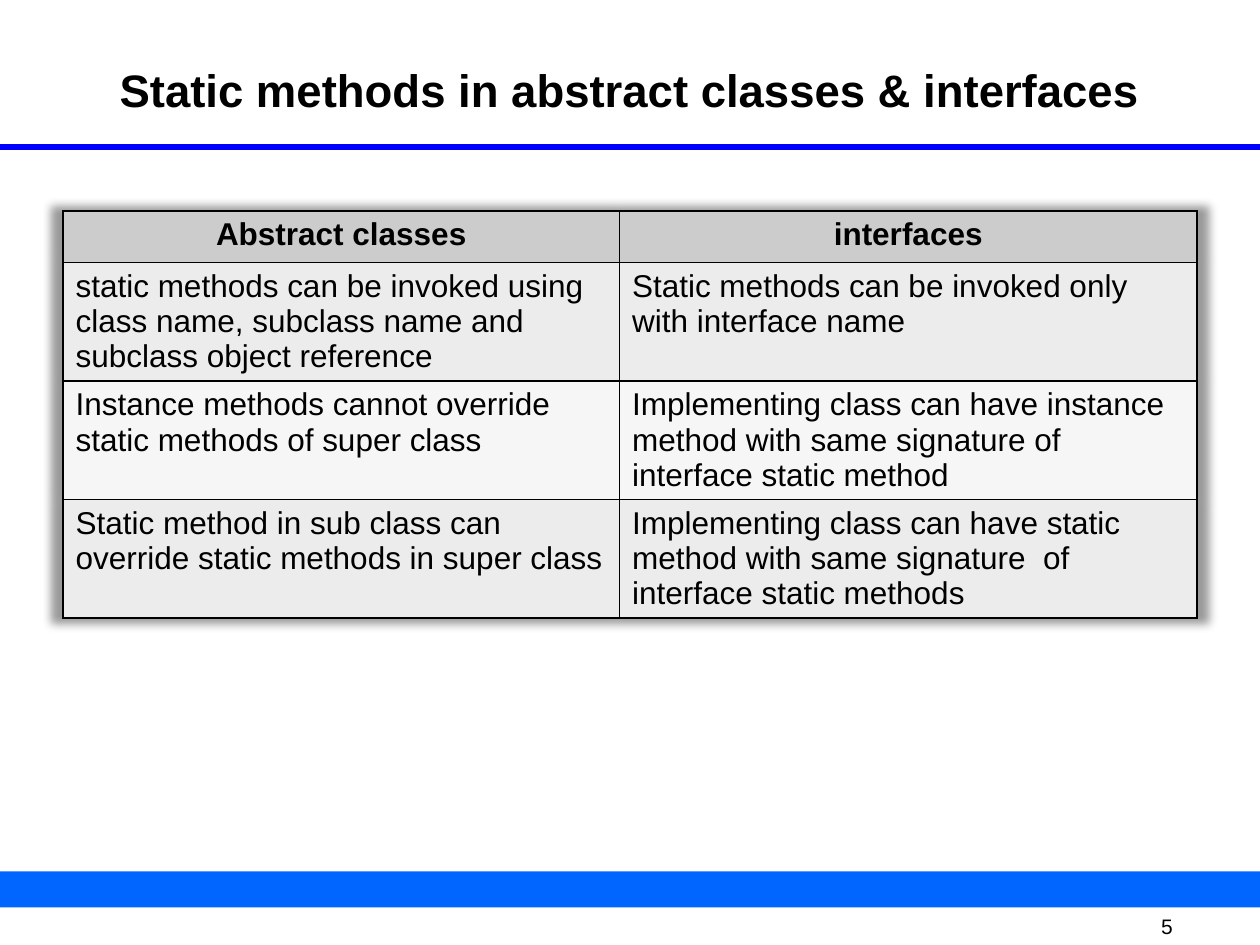
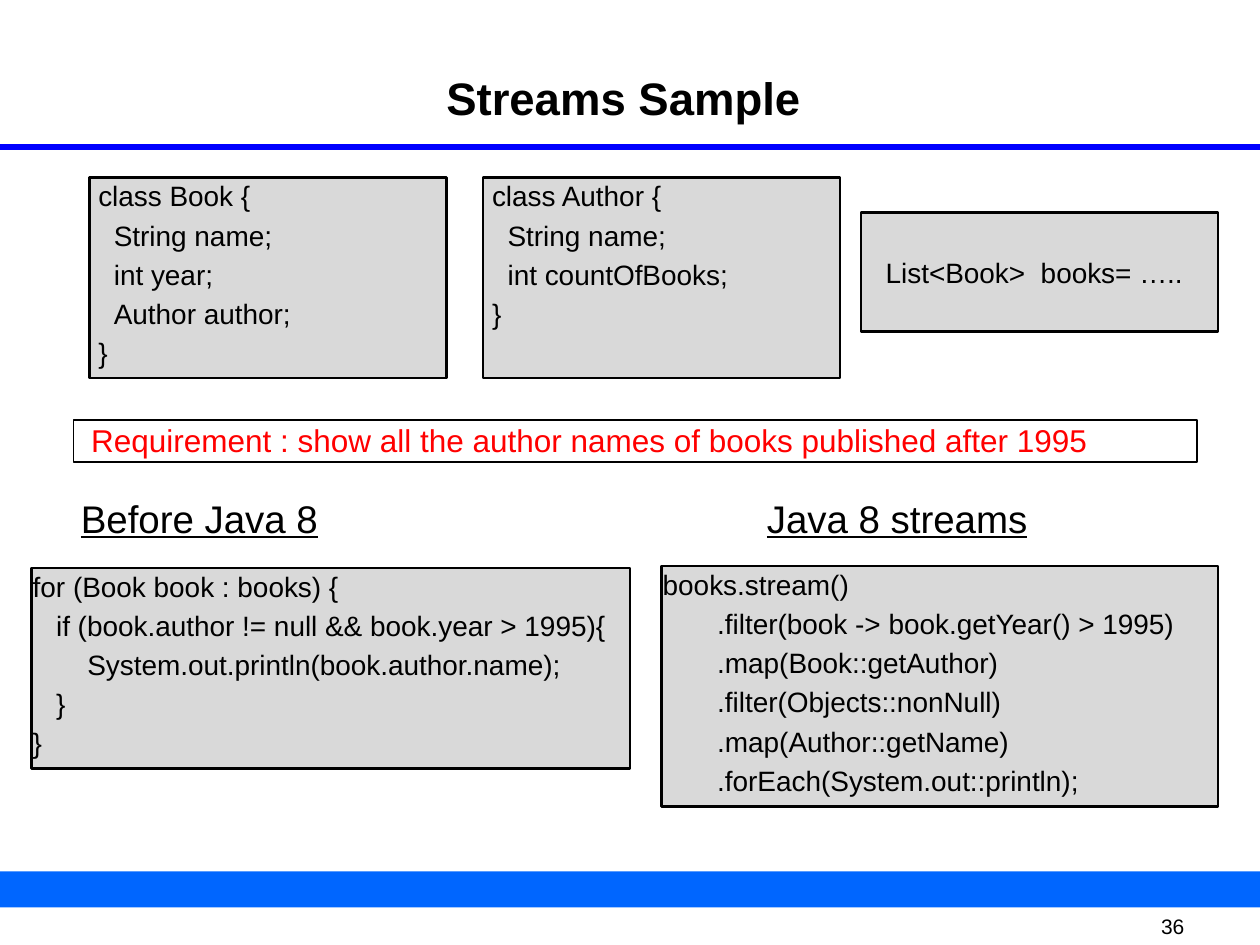
from lxml import etree
from pptx import Presentation
from pptx.dml.color import RGBColor
from pptx.enum.shapes import MSO_CONNECTOR, MSO_SHAPE
from pptx.enum.text import MSO_ANCHOR, MSO_AUTO_SIZE, PP_ALIGN
from pptx.oxml import parse_xml
from pptx.oxml.ns import nsdecls, qn
from pptx.util import Pt

LEFT, CENTER = PP_ALIGN.LEFT, PP_ALIGN.CENTER
TOP, MIDDLE = MSO_ANCHOR.TOP, MSO_ANCHOR.MIDDLE
NO_AUTOFIT = MSO_AUTO_SIZE.NONE
RECTANGLE, STRAIGHT = MSO_SHAPE.RECTANGLE, MSO_CONNECTOR.STRAIGHT

FONT = "Arial"
COLORS = {
    "text": "000000", "border": "000000", "requirement": "FF0000",
    "rule": "0000FF", "band": "0066FF", "code": "D9D9D9",
    "header": "CCCCCC", "odd_row": "ECECEC", "even_row": "F6F6F6",
}
SLIDE_WIDTH, SLIDE_HEIGHT = 720, 540
TITLE_ONLY, TITLE_AND_CONTENT = 5, 1
SPACE_WIDTH = 4.45
TEXT_MARGINS = (0.72, 0.72, 0.72, 0.72)

COMPARISON_ROWS = [
    ("Abstract classes", "interfaces"),
    ("static methods can be invoked using class name, subclass name and subclass object reference",
     "Static methods can be invoked only with interface name"),
    ("Instance methods cannot override static methods of super class",
     "Implementing class can have instance method with same signature of interface static method"),
    ("Static method in sub class can override static methods in super class",
     "Implementing class can have static method with same signature  of interface static methods"),
]
CODE_BLOCKS = [
    ((276, 101.5, 204, 114.5), TOP, [
        (1, "class Author {"), (3, "String name;"), (3, "int countOfBooks;"), (1, "}")]),
    ((51, 101.5, 204, 114.5), TOP, [
        (1, "class Book {"), (3, "String name;"), (3, "int year;"),
        (3, "Author author;"), (1, "}")]),
    ((492, 121.5, 204, 68), MIDDLE, [(3, "List<Book>  books= …..")]),
    ((18, 324.5, 342, 114.5), TOP, [
        (0, "for (Book book : books) {"),
        (3, "if (book.author != null && book.year > 1995){"),
        (7, "System.out.println(book.author.name);"), (3, "}"), (0, "}")]),
    ((378, 323.5, 318, 137.5), TOP, [
        (0, "books.stream()"), (7, ".filter(book -> book.getYear() > 1995)"),
        (7, ".map(Book::getAuthor)"), (7, ".filter(Objects::nonNull)"),
        (7, ".map(Author::getName)"), (7, ".forEach(System.out::println);")]),
]


def color(name):
    """Return the palette colour with this name."""
    return RGBColor.from_string(COLORS[name])


def points(box):
    """Convert a tuple of numbers to lengths in points."""
    return [Pt(value) for value in box]


def write_text(frame, lines, size=18, text_color="text", bold=False, underline=False,
               align=LEFT, anchor=TOP, margins=TEXT_MARGINS, gap=0):
    """Fill a text frame with (indent, text) lines in one format."""
    frame.word_wrap = True
    frame.auto_size = NO_AUTOFIT
    frame.vertical_anchor = anchor
    (frame.margin_left, frame.margin_top,
     frame.margin_right, frame.margin_bottom) = points(margins)
    for number, (indent, text) in enumerate(lines):
        paragraph = frame.add_paragraph() if number else frame.paragraphs[0]
        paragraph.alignment = align
        paragraph.space_before = Pt(gap if number else 0)
        run = paragraph.add_run()
        run.text = text
        run.font.name, run.font.size = FONT, Pt(size)
        run.font.bold, run.font.underline = bold, underline
        run.font.color.rgb = color(text_color)
        properties = paragraph._p.get_or_add_pPr()
        properties.set("marL", str(Pt(indent)))
        properties.set("indent", "0")
        etree.SubElement(properties, qn("a:buNone"))


def place(shape, box):
    """Move and size a shape to the box."""
    shape.left, shape.top, shape.width, shape.height = points(box)


def add_rectangle(slide, box, fill, line_width=0):
    """Add a filled rectangle, outlined when it has a line width."""
    shape = slide.shapes.add_shape(RECTANGLE, *points(box))
    shape.shadow.inherit = False
    shape.fill.solid()
    shape.fill.fore_color.rgb = color(fill)
    if line_width:
        shape.line.color.rgb = color("border")
        shape.line.width = Pt(line_width)
    else:
        shape.line.fill.background()
    return shape


def add_framed_slide(presentation, layout, title, title_top, number):
    """Add a slide with its title, rule, footer band and page number."""
    slide = presentation.slides.add_slide(presentation.slide_layouts[layout])
    for placeholder in list(slide.placeholders):
        if placeholder.placeholder_format.idx >= 10:
            placeholder.element.getparent().remove(placeholder.element)
    add_rectangle(slide, (0, 498, SLIDE_WIDTH, 20.5), "band")
    rule = slide.shapes.add_connector(STRAIGHT, *points((0, 84, SLIDE_WIDTH, 84)))
    rule.line.color.rgb = color("rule")
    rule.line.width = Pt(3)
    etree.SubElement(rule._element.spPr, qn("a:effectLst"))
    page = slide.shapes.add_textbox(*points((653, 522, 55, 14)))
    write_text(page.text_frame, [(0, str(number))], size=12, anchor=MIDDLE,
               margins=(10.5, 0, 0, 0))
    place(slide.shapes.title, (48, title_top, 624, 69))
    write_text(slide.shapes.title.text_frame, [(0, title)], size=26, bold=True,
               align=CENTER, margins=(0.72, 1.2, 0.72, 0.72))
    return slide


def add_cell_borders(cell):
    """Give a table cell a one point line on every side."""
    properties = cell._tc.get_or_add_tcPr()
    for side in "LRTB":
        properties.append(parse_xml(
            f'<a:ln{side} {nsdecls("a")} w="{Pt(1)}"><a:solidFill>'
            f'<a:srgbClr val="{COLORS["border"]}"/></a:solidFill></a:ln{side}>'))


def add_comparison_table(slide, box):
    """Add the table that compares abstract classes with interfaces."""
    header_height = 29.5
    row_height = (box[3] - header_height) / (len(COMPARISON_ROWS) - 1)
    table = slide.shapes.add_table(len(COMPARISON_ROWS), 2, *points(box)).table
    table._tbl.tblPr.insert(0, parse_xml(
        f'<a:effectLst {nsdecls("a")}><a:outerShdw blurRad="63500" sx="102000" '
        'sy="102000" algn="ctr" rotWithShape="0"><a:prstClr val="black">'
        '<a:alpha val="40000"/></a:prstClr></a:outerShdw></a:effectLst>'))
    table.columns[0].width = Pt(318)
    table.columns[1].width = Pt(box[2] - 318)
    for row, texts in enumerate(COMPARISON_ROWS):
        table.rows[row].height = Pt(row_height if row else header_height)
        fill = ("odd_row" if row % 2 else "even_row") if row else "header"
        for column, text in enumerate(texts):
            cell = table.cell(row, column)
            add_cell_borders(cell)
            cell.fill.solid()
            cell.fill.fore_color.rgb = color(fill)
            write_cell(cell, text, is_header=row == 0)


def write_cell(cell, text, is_header):
    """Write one table cell, centred and bold in the header."""
    write_text(cell.text_frame, [(0, text)], bold=is_header,
               align=CENTER if is_header else LEFT)
    cell.vertical_anchor = TOP
    (cell.margin_left, cell.margin_top,
     cell.margin_right, cell.margin_bottom) = points((7.2, 3.6, 7.2, 3.6))


def add_code_block(slide, box, anchor, lines):
    """Add a grey box with indented lines of code."""
    shape = add_rectangle(slide, box, "code", line_width=1.5)
    write_text(shape.text_frame, [(spaces * SPACE_WIDTH, text) for spaces, text in lines],
               size=16, anchor=anchor, gap=3.2)


def add_requirement(slide, box):
    """Put the requirement in the outlined body placeholder."""
    body = slide.placeholders[1]
    place(body, box)
    body.line.color.rgb = color("border")
    body.line.width = Pt(1)
    write_text(body.text_frame,
               [(9.4, "Requirement : show all the author names of books published after 1995")],
               text_color="requirement")


def add_heading(slide, box, text):
    """Add an underlined heading above a code block."""
    heading = slide.shapes.add_textbox(*points(box))
    write_text(heading.text_frame, [(0, text)], size=22, underline=True)


def build_comparison_slide(presentation):
    """Build the slide on static methods."""
    slide = add_framed_slide(presentation, TITLE_ONLY,
                             "Static methods in abstract classes & interfaces", 34.5, 5)
    add_comparison_table(slide, (36, 120.5, 648, 232.5))


def build_streams_slide(presentation):
    """Build the slide with the streams sample."""
    slide = add_framed_slide(presentation, TITLE_AND_CONTENT, "Streams Sample ", 39, 36)
    add_requirement(slide, (42, 240, 642, 24))
    for box, anchor, lines in CODE_BLOCKS:
        add_code_block(slide, box, anchor, lines)
    for left, text in ((45.5, "Before Java 8"), (437.5, "Java 8 streams")):
        add_heading(slide, (left, 282, 222, 29), text)


def main():
    """Build and save the presentation."""
    presentation = Presentation()
    presentation.slide_width, presentation.slide_height = points((SLIDE_WIDTH, SLIDE_HEIGHT))
    build_comparison_slide(presentation)
    build_streams_slide(presentation)
    presentation.save("out.pptx")


if __name__ == "__main__":
    main()
